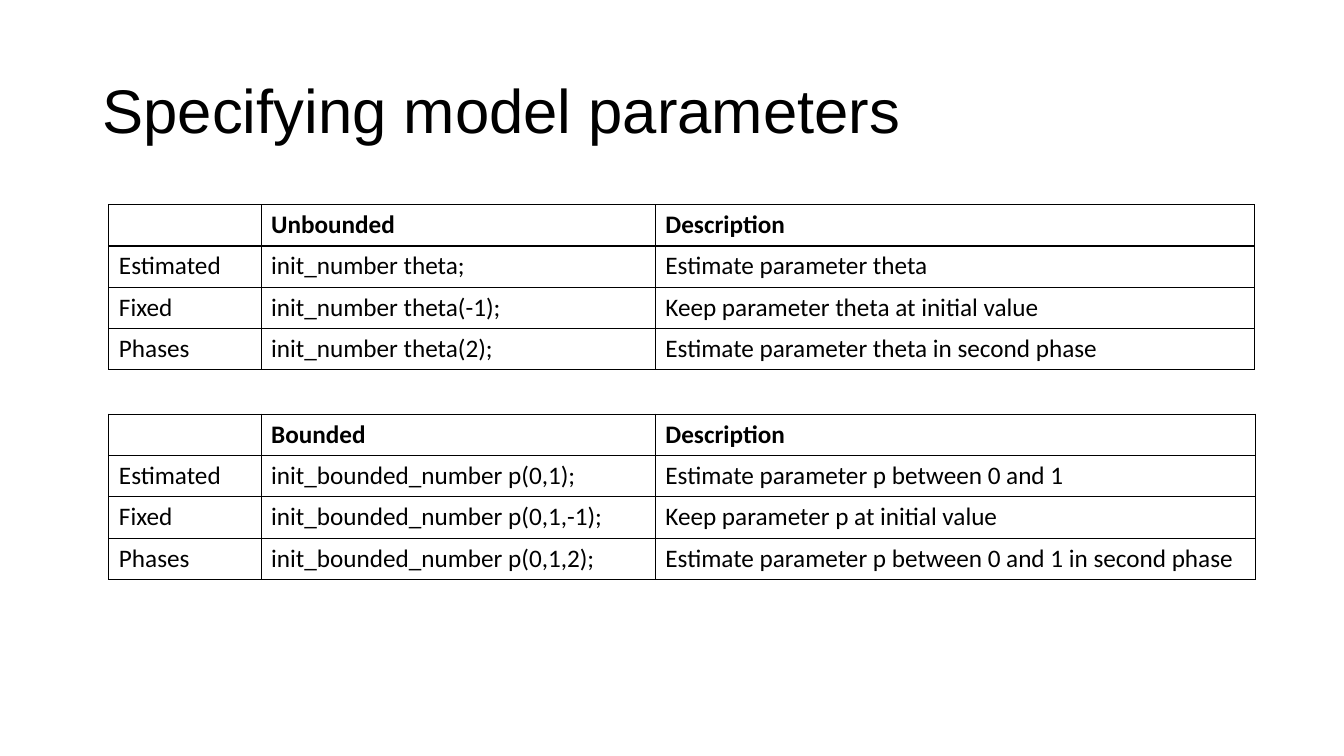
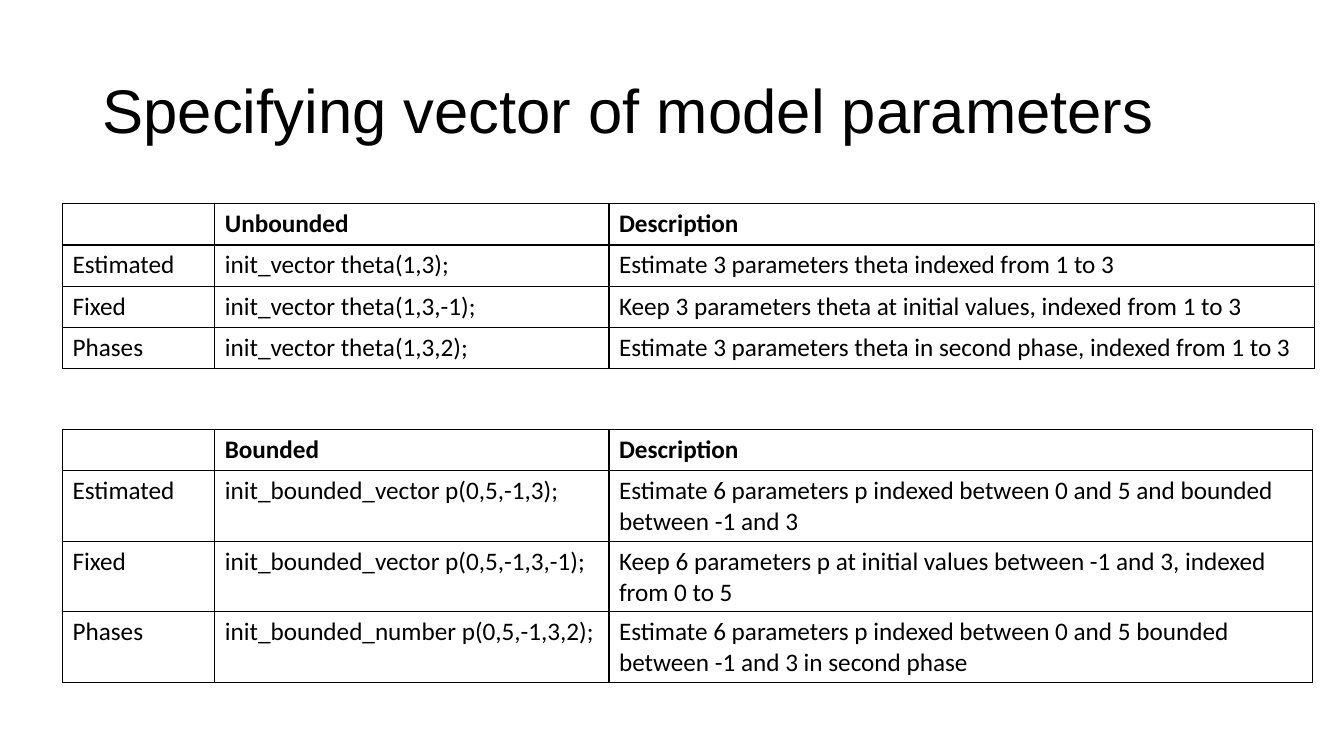
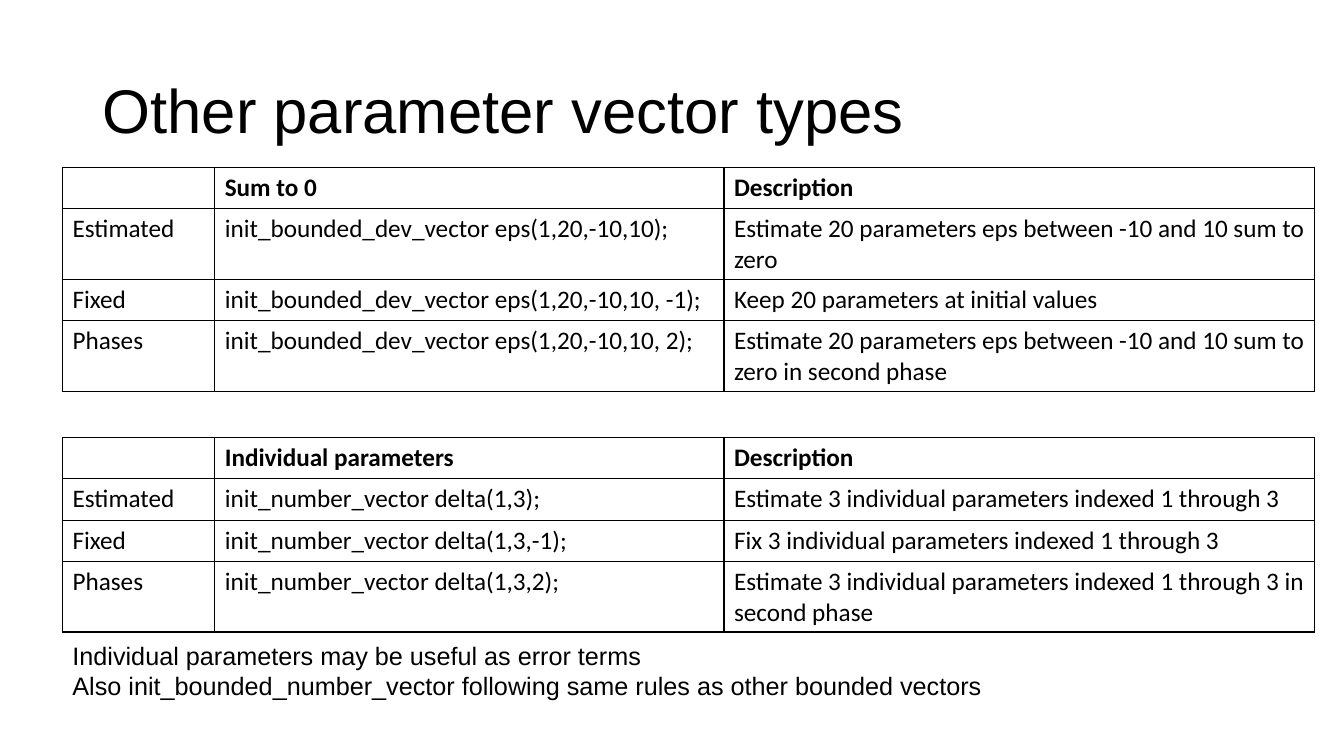
from lxml.etree import SubElement
from pptx import Presentation
from pptx.dml.color import RGBColor
from pptx.enum.text import MSO_ANCHOR
from pptx.oxml.ns import qn
from pptx.util import Inches, Pt

HUES = {"ink": "000000", "rule": "000000"}
HEAD, BODY = "Arial", "Calibri"
STUBS = ["Estimated", "Fixed", "Phases"]
STUB, ROW = 1.51, 0.41

PAGES = [
    {
        "title": "Specifying model parameters",
        "grids": [
            (1.08, 2.03, 3.91, 5.94, "Unbounded", [
                ("init_number theta;", "Estimate parameter theta"),
                ("init_number theta(-1);", "Keep parameter theta at initial value"),
                ("init_number theta(2);", "Estimate parameter theta in second phase"),
            ]),
            (1.08, 4.11, 3.91, 5.95, "Bounded", [
                ("init_bounded_number p(0,1);", "Estimate parameter p between 0 and 1"),
                ("init_bounded_number p(0,1,-1);", "Keep parameter p at initial value"),
                ("init_bounded_number p(0,1,2);",
                 "Estimate parameter p between 0 and 1 in second phase"),
            ]),
        ],
    },
    {
        "title": "Specifying vector of model parameters",
        "grids": [
            (0.62, 2.02, 3.91, 7, "Unbounded", [
                ("init_vector theta(1,3);",
                 "Estimate 3 parameters theta indexed from 1 to 3"),
                ("init_vector theta(1,3,-1);",
                 "Keep 3 parameters theta at initial values, indexed from 1 to 3"),
                ("init_vector theta(1,3,2);",
                 "Estimate 3 parameters theta in second phase, indexed from 1 to 3"),
            ]),
            (0.62, 4.26, 3.91, 6.98, "Bounded", [
                ("init_bounded_vector p(0,5,-1,3);",
                 "Estimate 6 parameters p indexed between 0 and 5 and bounded between -1 and 3"),
                ("init_bounded_vector p(0,5,-1,3,-1);",
                 "Keep 6 parameters p at initial values between -1 and 3, indexed from 0 to 5"),
                ("init_bounded_number p(0,5,-1,3,2);",
                 "Estimate 6 parameters p indexed between 0 and 5 bounded "
                 "between -1 and 3 in second phase"),
            ]),
        ],
    },
    {
        "title": "Other parameter vector types",
        "grids": [
            (0.62, 1.66, 5.05, 5.86, "Sum to 0", [
                ("init_bounded_dev_vector eps(1,20,-10,10);",
                 "Estimate 20 parameters eps between -10 and 10 sum to zero"),
                ("init_bounded_dev_vector eps(1,20,-10,10, -1);",
                 "Keep 20 parameters at initial values"),
                ("init_bounded_dev_vector eps(1,20,-10,10, 2);",
                 "Estimate 20 parameters eps between -10 and 10 sum to zero in second phase"),
            ]),
            (0.62, 4.34, 5.05, 5.86, "Individual parameters", [
                ("init_number_vector delta(1,3);",
                 "Estimate 3 individual parameters indexed 1 through 3"),
                ("init_number_vector delta(1,3,-1);",
                 "Fix 3 individual parameters indexed 1 through 3"),
                ("init_number_vector delta(1,3,2);",
                 "Estimate 3 individual parameters indexed 1 through 3 in second phase"),
            ]),
        ],
        "note": "Individual parameters may be useful as error terms\n"
                "Also init_bounded_number_vector following same rules as other bounded vectors",
    },
]


def style(frame, size, face, bold=False):
    for para in frame.paragraphs:
        for run in para.runs:
            font = run.font
            font.size, font.name, font.bold = Pt(size), face, bold
            font.color.rgb = RGBColor.from_string(HUES["ink"])


def add_text(slide, box, text, size):
    frame = slide.shapes.add_textbox(*map(Inches, box)).text_frame
    frame.word_wrap = True
    frame.text = text
    style(frame, size, HEAD)
    return frame


def add_title(slide, text):
    frame = add_text(slide, (0.92, 0.4, 11.5, 1.45), text, 44)
    frame.vertical_anchor = MSO_ANCHOR.MIDDLE
    frame.paragraphs[0].line_spacing = 0.9


def rule_cell(cell):
    props = cell._tc.get_or_add_tcPr()
    for side in ("lnL", "lnR", "lnT", "lnB"):
        line = SubElement(props, qn(f"a:{side}"), w=str(Pt(1)))
        fill = SubElement(line, qn("a:solidFill"))
        SubElement(fill, qn("a:srgbClr"), val=HUES["rule"])
    cell.fill.background()


def add_grid(slide, left, top, code, desc, head, pairs):
    rows = [("", head, "Description")]
    rows += [(stub, *pair) for stub, pair in zip(STUBS, pairs)]
    wides = (STUB, code, desc)
    box = (left, top, sum(wides), ROW * len(rows))
    table = slide.shapes.add_table(len(rows), len(wides), *map(Inches, box)).table
    table.first_row = table.horz_banding = False
    for col, wide in zip(table.columns, wides):
        col.width = Inches(wide)
    for r, row in enumerate(rows):
        table.rows[r].height = Inches(ROW)
        for c, text in enumerate(row):
            cell = table.cell(r, c)
            cell.text_frame.text = text
            style(cell.text_frame, 18, BODY, r == 0)
            rule_cell(cell)


def add_page(deck, page):
    slide = deck.slides.add_slide(deck.slide_layouts[6])
    add_title(slide, page["title"])
    for grid in page["grids"]:
        add_grid(slide, *grid)
    if "note" in page:
        add_text(slide, (0.62, 6.3, 10.19, 0.71), page["note"], 18)


def main():
    deck = Presentation()
    deck.slide_width, deck.slide_height = Inches(13.33), Inches(7.5)
    for page in PAGES:
        add_page(deck, page)
    deck.save("out.pptx")


if __name__ == "__main__":
    main()
